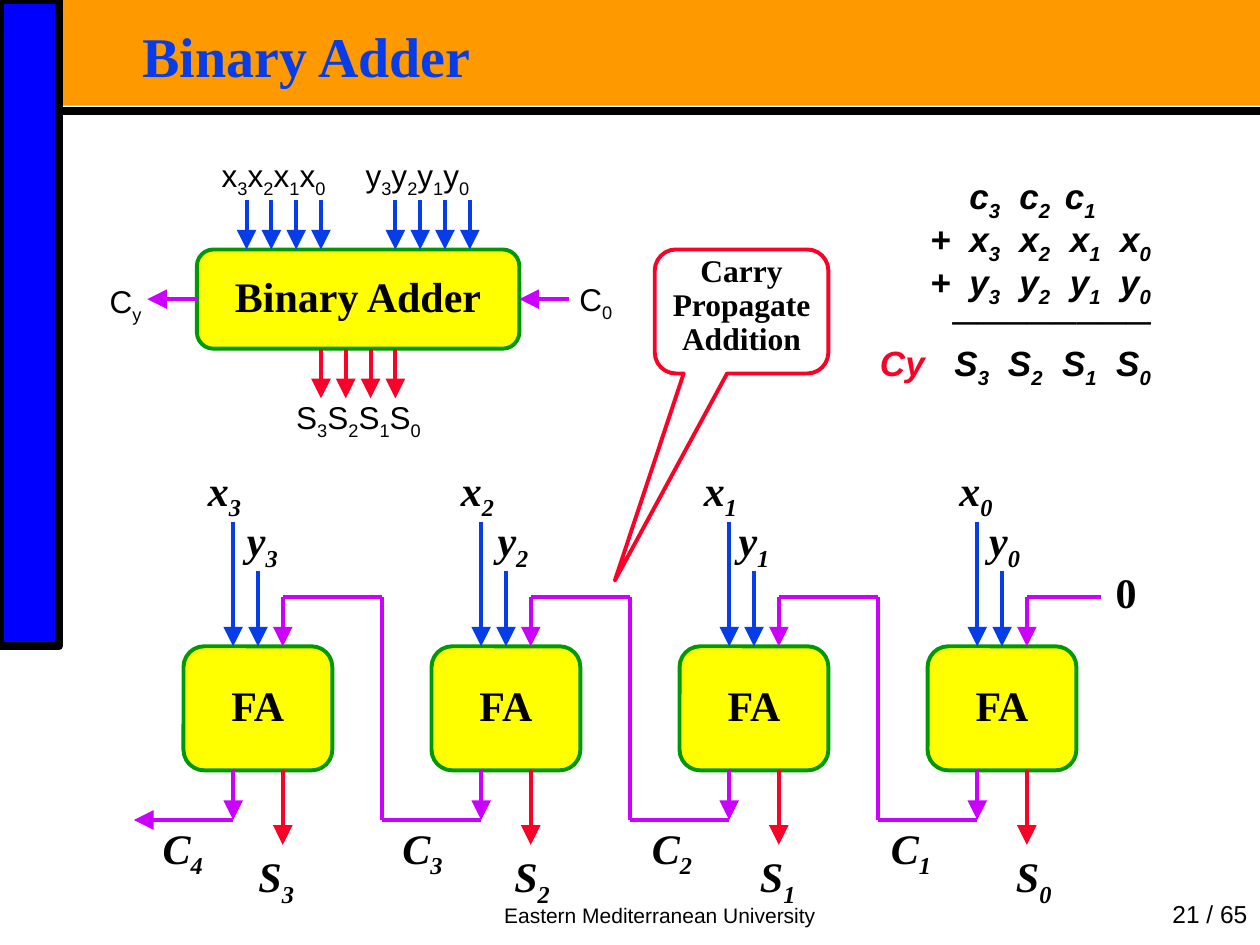
from lxml import etree
from pptx import Presentation
from pptx.dml.color import RGBColor
from pptx.enum.shapes import MSO_CONNECTOR, MSO_SHAPE
from pptx.enum.text import MSO_ANCHOR, MSO_AUTO_SIZE, PP_ALIGN
from pptx.oxml.ns import qn
from pptx.util import Cm, Pt

STRAIGHT = MSO_CONNECTOR.STRAIGHT
RECT, ROUND = MSO_SHAPE.RECTANGLE, MSO_SHAPE.ROUNDED_RECTANGLE
CALLOUT = MSO_SHAPE.ROUNDED_RECTANGULAR_CALLOUT
TOP, MIDDLE, BOTTOM = MSO_ANCHOR.TOP, MSO_ANCHOR.MIDDLE, MSO_ANCHOR.BOTTOM
LEFT, CENTER, RIGHT = PP_ALIGN.LEFT, PP_ALIGN.CENTER, PP_ALIGN.RIGHT
SERIF, SANS = "Times New Roman", "Arial"
BLACK, BLUE, RED, PURPLE = "000000", "063DE8", "FC0128", "CC00FF"
YELLOW, GREEN, ORANGE, SIDE_BLUE = "FFFF00", "009900", "FF9900", "0000FF"

TITLE = "Binary Adder"
SUM_STOPS = [1.55, 2.34, 3.35, 4.37, 5.38]
RESULT_STOPS = [0.54, 2.04, 3.12, 4.21, 5.3]
SUM_ROWS = [
    ("", "\t\tc_3\tc_2\tc_1", [1.55, 2.34, 3.35, 4.27]),
    ("", "\t+\tx_3\tx_2\tx_1\tx_0", SUM_STOPS),
    ("", "\t+\ty_3\ty_2\ty_1\ty_0", SUM_STOPS),
    ("", "\t────────", [2]),
    ("\tCy", "\tS_3\tS_2\tS_1\tS_0", RESULT_STOPS),
]
STAGE_LABELS = [
    ("x_3\tx_2\tx_1\tx_0", (4.19, 9.37, 16, 1.04), [5.1, 10, 15.15]),
    ("y_3\ty_2\ty_1\ty_0", (4.98, 10.39, 16, 1.04), [5.05, 9.91, 14.96]),
    ("S_3\tS_2\tS_1\tS_0", (5.21, 17.17, 16.5, 1.04), [5.16, 10.11, 15.27]),
    ("C_4\tC_3\tC_2\tC_1", (3.28, 16.59, 16.5, 1.04), [4.83, 9.86, 14.68]),
]
BLOCK_LABELS = [
    ("x_3x_2x_1x_0\ty_3y_2y_1y_0", (4.47, 3.15, 6, 0.79), [2.9]),
    ("S_3S_2S_1S_0", (5.97, 8.03, 3, 0.79), []),
    ("C_0", (11.68, 5.66, 1, 0.79), []),
    ("C_y", (2.21, 5.69, 1, 0.79), []),
]
STAGES, STAGE_LEFT, STAGE_PITCH = 4, 3.7, 5
STAGE_TOP, STAGE_BOTTOM = 13.03, 15.53
CARRY_IN, CARRY_OUT = 12.03, 16.53
BLOCK_LEFT, BLOCK_TOP, BLOCK_WIDTH, BLOCK_HEIGHT = 3.97, 5.03, 6.5, 2

deck = Presentation()
deck.slide_width, deck.slide_height = Cm(25.4), Cm(19.05)
slide = deck.slides.add_slide(deck.slide_layouts[5])


def rgb(code):
    """Turn a hex string into a colour."""
    return RGBColor.from_string(code)


def add_spans(para, text, color=None):
    """Add runs to a paragraph, lowering each character that follows "_"."""
    first, *others = text.split("_")
    pieces = [(first, False)]
    for other in others:
        pieces += [(other[0], True), (other[1:], False)]
    for piece, lowered in pieces:
        if piece:
            span = para.add_run()
            span.text = piece
            if lowered:
                span.font._element.set("baseline", "-25000")
            if color:
                span.font.color.rgb = rgb(color)


def style(para, size, font, color=BLACK, bold=False, italic=False,
          align=LEFT, spacing=0.9, stops=()):
    """Format a paragraph and give it left tab stops."""
    para.alignment, para.line_spacing = align, spacing
    if stops:
        tabs = etree.SubElement(para._p.get_or_add_pPr(), qn("a:tabLst"))
        for stop in stops:
            etree.SubElement(tabs, qn("a:tab"), pos=str(Cm(stop)), algn="l")
    para.font.size, para.font.name = Pt(size), font
    para.font.bold, para.font.italic = bold, italic
    para.font.color.rgb = rgb(color)


def set_frame(box, anchor=TOP, side=0, end=0):
    """Set wrapping, anchor and margins, and return the text frame."""
    frame = box.text_frame
    frame.word_wrap, frame.auto_size = True, MSO_AUTO_SIZE.NONE
    frame.vertical_anchor = anchor
    frame.margin_left = frame.margin_right = Cm(side)
    frame.margin_top = frame.margin_bottom = Cm(end)
    return frame


def add_label(text, place, size, font, **look):
    """Add a one-paragraph text box."""
    box = slide.shapes.add_textbox(*map(Cm, place))
    para = set_frame(box).paragraphs[0]
    add_spans(para, text)
    style(para, size, font, **look)
    return box


def add_box(kind, place, fill=None, line=None, width=2.25, text="", size=24, anchor=MIDDLE):
    """Add a preset shape with optional fill, outline and bold text."""
    box = slide.shapes.add_shape(kind, *map(Cm, place))
    box.shadow.inherit = False
    if fill:
        box.fill.solid()
        box.fill.fore_color.rgb = rgb(fill)
    else:
        box.fill.background()
    if line:
        box.line.color.rgb = rgb(line)
        box.line.width = Pt(width)
    else:
        box.line.fill.background()
    if text:
        para = set_frame(box, anchor).paragraphs[0]
        add_spans(para, text)
        style(para, size, SERIF, bold=True, align=CENTER)
    return box


def add_line(x1, y1, x2, y2, color, arrow=True, width=2.25):
    """Add a straight line, with a large arrowhead at its end if wanted."""
    line = slide.shapes.add_connector(STRAIGHT, *map(Cm, (x1, y1, x2, y2)))
    line.line.color.rgb = rgb(color)
    line.line.width = Pt(width)
    if arrow:
        etree.SubElement(line.line._get_or_add_ln(), qn("a:tailEnd"),
                         type="triangle", w="lg", len="lg")
    etree.SubElement(line._element.spPr, qn("a:effectLst"))
    return line


def add_frame_and_title():
    """Add the coloured bands, the title and the footer."""
    add_box(RECT, (1.19, 0, 24.21, 2.13), ORANGE)
    add_box(RECT, (0, 0, 1.19, 13.03), SIDE_BLUE, BLACK, 4.5)
    add_line(1.19, 2.24, 25.4, 2.24, BLACK, False, 4.5)
    title = slide.shapes.title
    title.left, title.top, title.width, title.height = map(Cm, (2.69, 0.53, 22, 1.32))
    title.element.getparent().append(title.element)
    para = set_frame(title, TOP, 0.18, 0.08).paragraphs[0]
    add_spans(para, TITLE)
    style(para, 32, SERIF, BLUE, bold=True, spacing=0.87)
    for text, place, size, align in [
        ("Eastern Mediterranean University", (8.71, 18.03, 9.19, 0.81), 12, CENTER),
        ("21 / 65", (22.07, 18.03, 3.33, 0.81), 14, RIGHT),
    ]:
        box = add_label(text, place, size, SANS, align=align, spacing=1.0)
        set_frame(box, BOTTOM, 0.25, 0.13)


def add_block():
    """Add the four-bit adder block with its inputs and outputs."""
    block = add_box(ROUND, (BLOCK_LEFT, BLOCK_TOP, BLOCK_WIDTH, BLOCK_HEIGHT),
                    YELLOW, GREEN, text=TITLE)
    right, bottom = BLOCK_LEFT + BLOCK_WIDTH, BLOCK_TOP + BLOCK_HEIGHT
    middle = BLOCK_TOP + BLOCK_HEIGHT / 2
    for start, top, color in [(1, BLOCK_TOP - 1, BLUE), (4, BLOCK_TOP - 1, BLUE),
                              (2.5, bottom, RED)]:
        for bit in range(4):
            x = BLOCK_LEFT + start + bit / 2
            add_line(x, top, x, top + 1, color)
    add_line(right + 1, middle, right, middle, PURPLE).end_connect(block, 3)
    add_line(BLOCK_LEFT, middle, BLOCK_LEFT - 1, middle, PURPLE).begin_connect(block, 1)
    for text, place, stops in BLOCK_LABELS:
        add_label(text, place, 18, SANS, stops=stops)


def add_stages():
    """Add the chain of full adders and the carries between them."""
    for stage in range(STAGES):
        left = STAGE_LEFT + stage * STAGE_PITCH
        x_in, y_in, carry = left + 1, left + 1.5, left + 2
        adder = add_box(ROUND, (left, STAGE_TOP, 3, STAGE_BOTTOM - STAGE_TOP),
                        YELLOW, GREEN, text="FA")
        add_line(x_in, 10.52, x_in, STAGE_TOP, BLUE)
        add_line(y_in, 11.52, y_in, STAGE_TOP, BLUE).end_connect(adder, 0)
        add_line(carry, CARRY_IN, carry, STAGE_TOP, PURPLE)
        add_line(carry, STAGE_BOTTOM, carry, 17.03, RED)
        add_line(x_in, STAGE_BOTTOM, x_in, CARRY_OUT, PURPLE)
        turn = x_in - 2
        add_line(x_in, CARRY_OUT, turn, CARRY_OUT, PURPLE, stage == 0)
        if stage:
            add_line(turn, CARRY_OUT, turn, CARRY_IN, PURPLE, False)
            add_line(turn, CARRY_IN, turn - 2, CARRY_IN, PURPLE, False)
    add_line(carry + 1.5, CARRY_IN, carry, CARRY_IN, PURPLE, False)
    add_label("0", (22.2, 11.53, 1, 0.91), 24, SERIF, bold=True, align=CENTER)
    for text, place, stops in STAGE_LABELS:
        add_label(text, place, 24, SERIF, bold=True, italic=True, stops=stops)


def add_sum():
    """Add the written addition with its carries and result."""
    frame = set_frame(slide.shapes.add_textbox(*map(Cm, (17.2, 3.53, 6.4, 4.24))))
    for index, (lead, text, stops) in enumerate(SUM_ROWS):
        para = frame.add_paragraph() if index else frame.paragraphs[0]
        add_spans(para, lead, RED)
        add_spans(para, text)
        style(para, 20, SANS, bold=True, italic=True, stops=stops)


add_frame_and_title()
add_sum()
add_stages()
add_block()
callout = add_box(CALLOUT, (13.2, 5.03, 3.5, 2.5), line=RED,
                  text="Carry Propagate Addition", size=18, anchor=TOP)
for number, value in enumerate((-0.73, 2.17, 0.17)):
    callout.adjustments[number] = value
deck.save("out.pptx")
